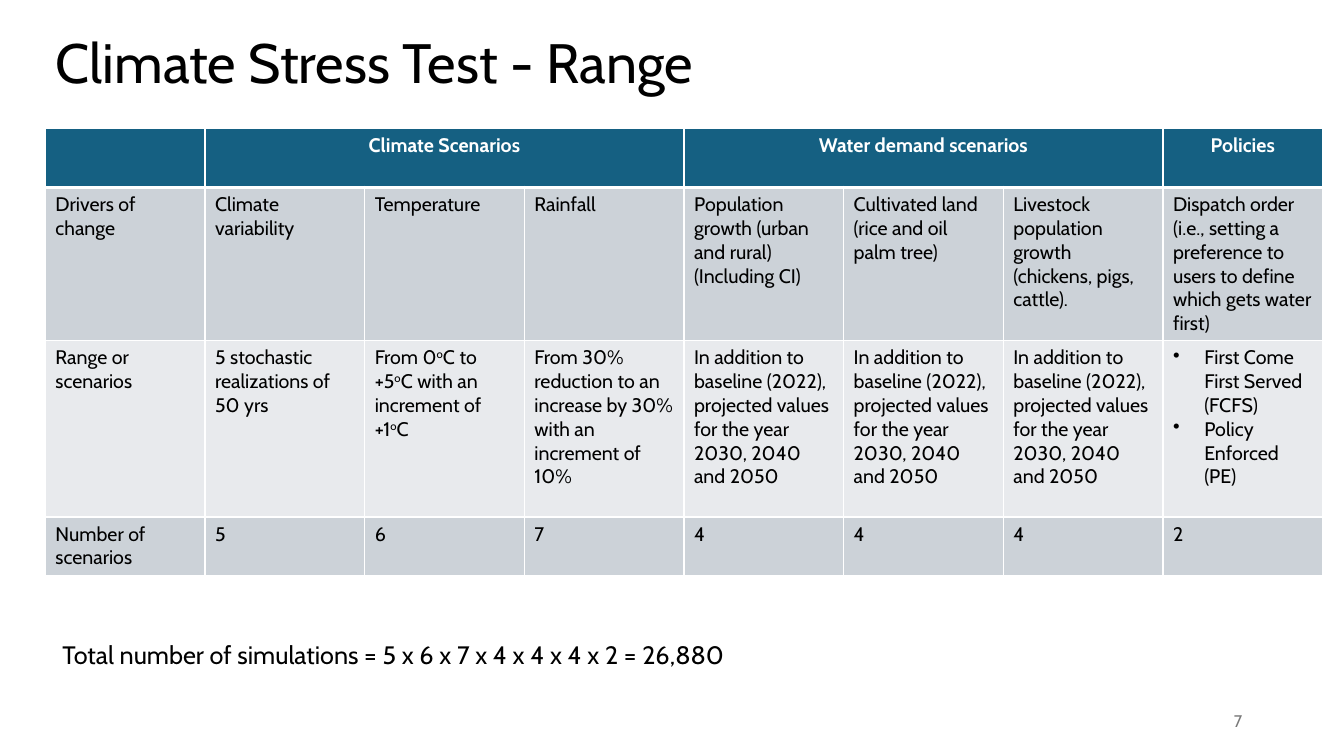
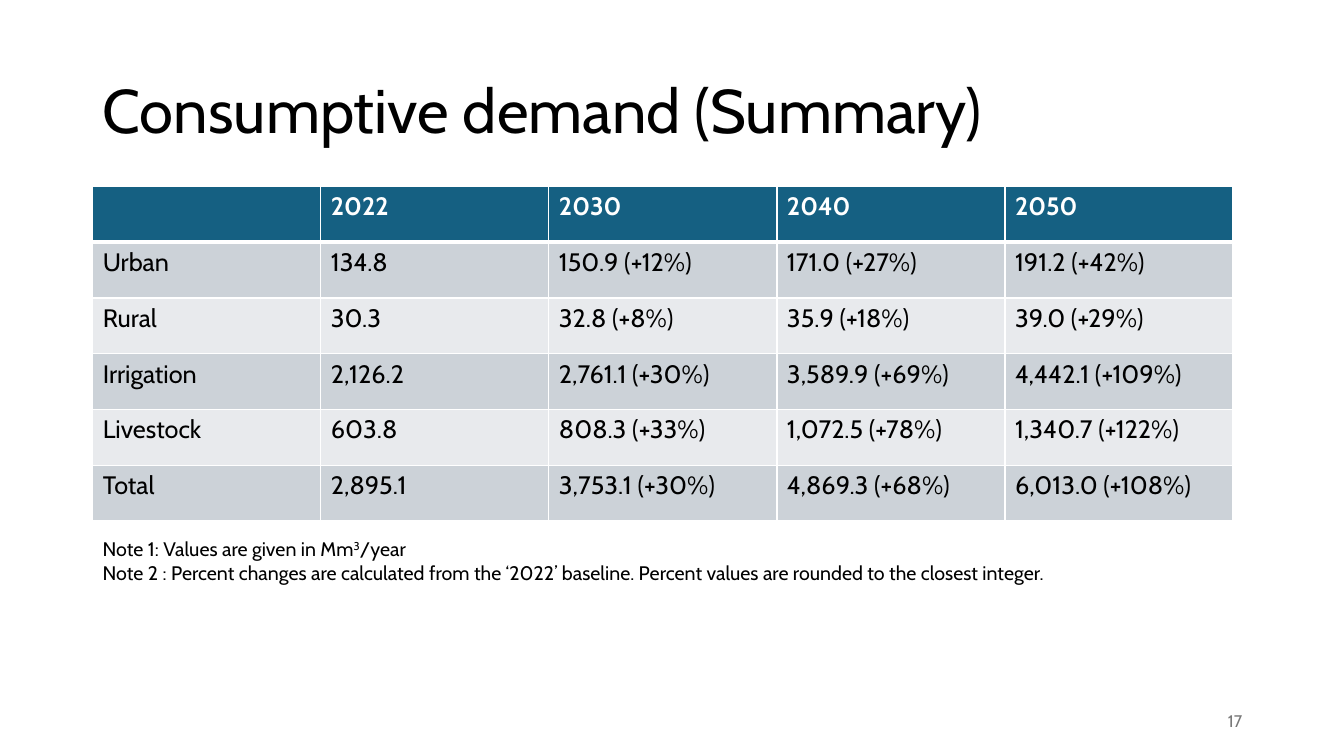
"""Builds two table slides on climate stress test scenarios and water demand."""
from lxml import etree
from pptx import Presentation
from pptx import util as u
from pptx.dml.color import RGBColor
from pptx.enum import text
from pptx.oxml.ns import qn

FONT = "Cabin"
COLORS = {"header": "156082", "band": "CCD2D8", "light": "E8EAED",
          "white": "FFFFFF", "ink": "000000", "number": "797979"}
LEFT, CENTER, RIGHT = text.PP_ALIGN.LEFT, text.PP_ALIGN.CENTER, text.PP_ALIGN.RIGHT
DEMAND_RANGE = ("In addition to baseline (2022), projected values "
                "for the year 2030, 2040 and 2050")

RANGE_ROWS = [
    ["", "Climate Scenarios", "", "", "Water demand scenarios", "", "", "Policies"],
    ["Drivers of change", "Climate variability", "Temperature", "Rainfall",
     "Population growth (urban and rural)\n(Including CI)",
     "Cultivated land (rice and oil palm tree)",
     "Livestock population growth (chickens, pigs, cattle).",
     "Dispatch order (i.e., setting a preference to users to define "
     "which gets water first)"],
    ["Range or scenarios", "5 stochastic realizations of 50 yrs",
     "From 0^o^C to +5^o^C with an increment of +1^o^C",
     "From 30% reduction to an increase by 30% with an increment of 10%",
     *[DEMAND_RANGE] * 3,
     "•First Come First Served (FCFS)\n•Policy Enforced (PE)"],
    ["Number of scenarios", "5", "6", "7", "4", "4", "4", "2"],
]
DEMAND_ROWS = [
    ["", "2022", "2030", "2040", "2050"],
    ["Urban", "134.8", "150.9 (+12%)", "171.0 (+27%)", "191.2 (+42%)"],
    ["Rural", "30.3", "32.8 (+8%)", "35.9 (+18%)", "39.0 (+29%)"],
    ["Irrigation", "2,126.2", "2,761.1 (+30%)", "3,589.9 (+69%)", "4,442.1 (+109%)"],
    ["Livestock", "603.8", "808.3 (+33%)", "1,072.5 (+78%)", "1,340.7 (+122%)"],
    ["Total", "2,895.1", "3,753.1 (+30%)", "4,869.3 (+68%)", "6,013.0 (+108%)"],
]
NOTES = ("Note 1: Values are given in Mm^3^/year\n"
         "Note 2 : Percent changes are calculated from the ‘2022’ baseline. "
         "Percent values are rounded to the closest integer.")


def rgb(name):
    """Return a palette colour."""
    return RGBColor.from_string(COLORS[name])


def add_bullet(p):
    """Give a paragraph a hanging bullet."""
    pPr = p._p.get_or_add_pPr()
    pPr.set("marL", str(u.Inches(0.31)))
    pPr.set("indent", str(-u.Inches(0.31)))
    etree.SubElement(pPr, qn("a:buChar")).set("char", "•")


def write(tf, content, size, color="ink", bold=False, align=LEFT):
    """Write lines into a text frame; ^x^ is superscript, a leading • a bullet."""
    for i, line in enumerate(content.split("\n")):
        p = tf.paragraphs[0] if i == 0 else tf.add_paragraph()
        p.alignment = align
        if line.startswith("•"):
            add_bullet(p)
        for j, part in enumerate(line.lstrip("•").split("^")):
            if not part:
                continue
            r = p.add_run()
            r.text = part
            r.font.name, r.font.size, r.font.bold = FONT, u.Pt(size), bold
            r.font.color.rgb = rgb(color)
            if j % 2:
                r.font._element.set("baseline", "30000")


def add_text(s, box, content, size, color="ink", align=LEFT,
             anchor=text.MSO_ANCHOR.TOP):
    """Add a wrapped text box."""
    tf = s.shapes.add_textbox(*map(u.Inches, box)).text_frame
    tf.word_wrap = True
    tf.vertical_anchor = anchor
    write(tf, content, size, color, align=align)


def new_slide(prs, title, box, size, number):
    """Add a slide with its title and slide number."""
    s = prs.slides.add_slide(prs.slide_layouts[5])
    sp = s.shapes.title
    sp.left, sp.top, sp.width, sp.height = map(u.Inches, box)
    tf = sp.text_frame
    tf.word_wrap = True
    tf.auto_size = text.MSO_AUTO_SIZE.NONE
    tf.vertical_anchor = text.MSO_ANCHOR.MIDDLE
    write(tf, title, size)
    tf.paragraphs[0].line_spacing = 0.9
    add_text(s, (9.42, 6.95, 3, 0.4), number, 12, "number", RIGHT,
             text.MSO_ANCHOR.MIDDLE)
    return s


def set_borders(cell, bottom):
    """Draw white cell borders with the given bottom width."""
    tcPr = cell._tc.get_or_add_tcPr()
    for side, width in (("L", 1), ("R", 1), ("T", 1), ("B", bottom)):
        ln = etree.SubElement(tcPr, qn(f"a:ln{side}"), w=str(u.Pt(width)))
        fill = etree.SubElement(ln, qn("a:solidFill"))
        etree.SubElement(fill, qn("a:srgbClr"), val=COLORS["white"])


def add_table(s, box, rows, heights, size, header_align=LEFT, merges=()):
    """Add a banded table with equal columns; merges are header column ranges."""
    n = len(rows[0])
    tbl = s.shapes.add_table(len(rows), n, *map(u.Inches, box)).table
    tbl.first_row = tbl.horz_banding = False
    for col in tbl.columns:
        col.width = u.Inches(box[2] / n)
    for i, (values, height) in enumerate(zip(rows, heights)):
        tbl.rows[i].height = u.Inches(height)
        header = i == 0
        fill = "header" if header else "band" if i % 2 else "light"
        for j, value in enumerate(values):
            cell = tbl.cell(i, j)
            set_borders(cell, 3 if header else 1)
            cell.fill.solid()
            cell.fill.fore_color.rgb = rgb(fill)
            write(cell.text_frame, value, size, "white" if header else "ink",
                  header, header_align if header else LEFT)
    for first, last in merges:
        tbl.cell(0, first).merge(tbl.cell(0, last))


def range_slide(prs):
    """Build the stress test range slide."""
    s = new_slide(prs, "Climate Stress Test - Range", (0.45, 0.31, 11.5, 0.68),
                  39.6, "7")
    add_table(s, (0.45, 1.27, 12.67, 4.44), RANGE_ROWS, (0.59, 1.52, 1.75, 0.58),
              14, CENTER, ((1, 3), (4, 6)))
    add_text(s, (0.52, 6.29, 10.38, 0.4),
             "Total number of simulations = 5 x 6 x 7 x 4 x 4 x 4 x 2 = 26,880", 18)


def demand_slide(prs):
    """Build the consumptive demand slide."""
    s = new_slide(prs, "Consumptive demand (Summary)", (0.92, 0.4, 11.5, 1.45),
                  44, "17")
    add_table(s, (0.92, 1.85, 11.31, 3.32), DEMAND_ROWS,
              [3.32 / len(DEMAND_ROWS)] * len(DEMAND_ROWS), 18)
    add_text(s, (0.92, 5.28, 11, 0.57), NOTES, 14)


def main():
    """Build and save the presentation."""
    prs = Presentation()
    prs.slide_width, prs.slide_height = u.Inches(13.33), u.Inches(7.5)
    range_slide(prs)
    demand_slide(prs)
    prs.save("out.pptx")


if __name__ == "__main__":
    main()
